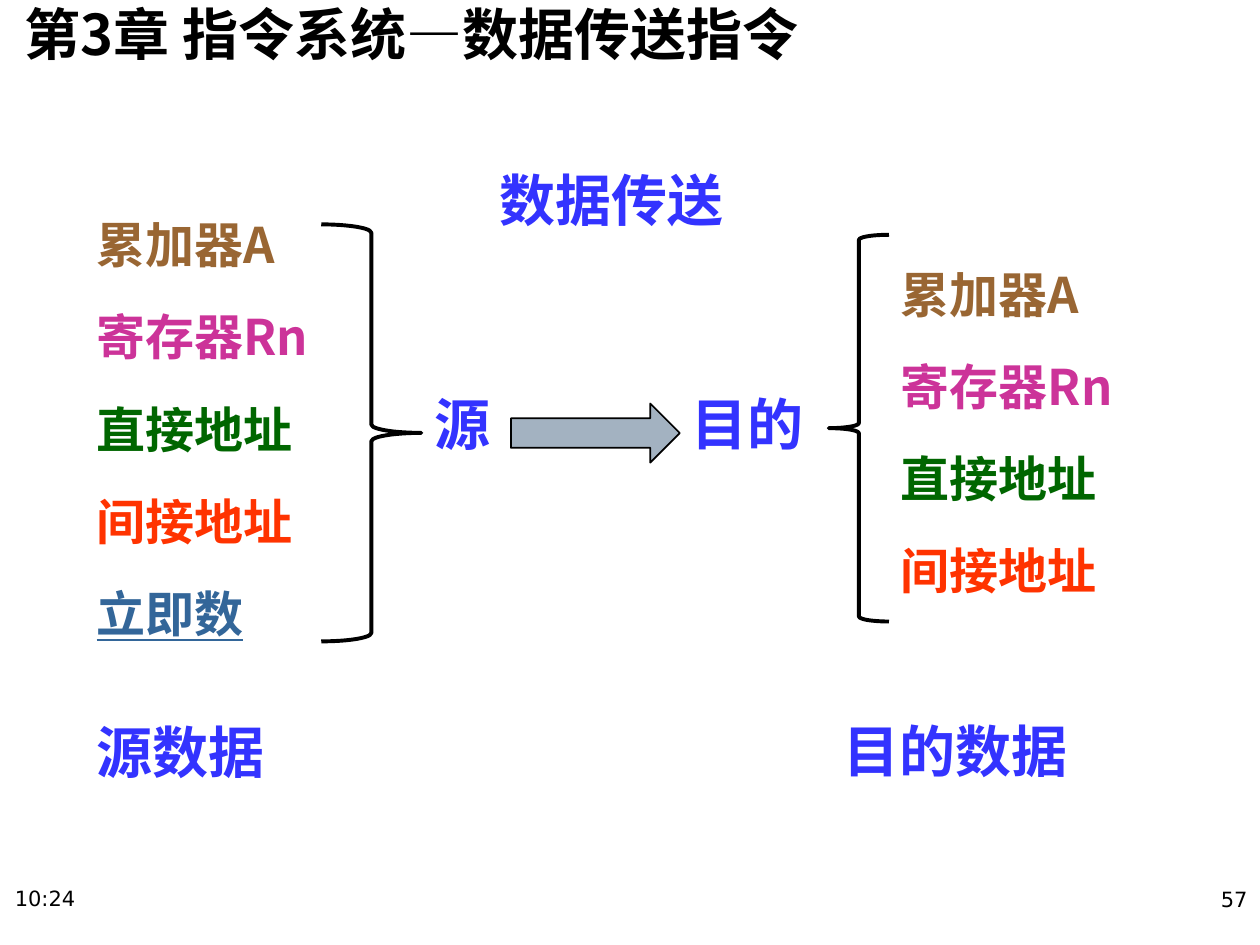
import pptx
import pptx.util
import pptx.dml.color
import pptx.enum.shapes
import pptx.enum.text
import pptx.oxml.ns
import lxml.etree

Pt = pptx.util.Pt
ALIGN = pptx.enum.text.PP_ALIGN
SHAPE = pptx.enum.shapes.MSO_SHAPE
CJK = "Noto Sans CJK SC"
COLORS = {
    "black": "000000", "white": "FFFFFF", "blue": "3333FF", "brown": "996633",
    "magenta": "CC3399", "green": "006600", "orange": "FF3300",
    "steel": "336699", "arrow": "A3B2C1",
}


def rgb(name):
    return pptx.dml.color.RGBColor.from_string(COLORS[name])


def write(box, place, lines, size, font=CJK, bold=True, align=ALIGN.LEFT, wrap=True):
    box.left, box.top, box.width, box.height = [Pt(length) for length in place]
    frame = box.text_frame
    frame.text = "\n".join(text for text, color in lines)
    frame.word_wrap = wrap
    frame.auto_size = pptx.enum.text.MSO_AUTO_SIZE.NONE
    frame.vertical_anchor = pptx.enum.text.MSO_ANCHOR.TOP
    for paragraph, (text, color) in zip(frame.paragraphs, lines):
        paragraph.alignment = align
        run = paragraph.runs[0]
        run.font.size = Pt(size)
        run.font.bold = bold
        run.font.name = font
        run.font.color.rgb = rgb(color)
        east_asian = lxml.etree.SubElement(run.font._element, pptx.oxml.ns.qn("a:ea"))
        east_asian.set("typeface", font)
    return frame


deck = pptx.Presentation()
deck.slide_width, deck.slide_height = Pt(720), Pt(540)
slide = deck.slides.add_slide(deck.slide_layouts[1])
shapes = slide.shapes

heading = write(shapes.title, (0, -0.5, 524, 56), [("第3章 指令系统—数据传送指令", "black")], 32)
heading.margin_left = Pt(14)
heading.margin_top = heading.margin_right = heading.margin_bottom = 0

destinations = [("累加器A", "brown"), ("寄存器Rn", "magenta"),
                ("直接地址", "green"), ("间接地址", "orange")]
sources = destinations + [("立即数", "steel")]
source_box = shapes.add_textbox(0, 0, 0, 0)
for box, place, operands in (
    (slide.placeholders[1], (507.6, 133.9, 158.4, 226.8), destinations),
    (source_box, (48.2, 105.8, 158.4, 283.7), sources),
):
    operand_list = write(box, place, operands, 28, align=ALIGN.JUSTIFY)
    for position, paragraph in enumerate(operand_list.paragraphs):
        paragraph.line_spacing = 1.4
        paragraph.space_before = Pt(5.6 if position else 0)
        properties = paragraph._p.get_or_add_pPr()
        properties.set("marL", str(Pt(36.7)))
        properties.set("indent", str(-Pt(36.7)))
        lxml.etree.SubElement(properties, pptx.oxml.ns.qn("a:buNone"))
source_box.text_frame.paragraphs[-1].runs[0].font.underline = True

for preset, place, fill, weight in (
    (SHAPE.LEFT_BRACE, (473.6, 134.2, 34.4, 221), "white", 2.25),
    (SHAPE.RIGHT_BRACE, (183.6, 128.2, 57.2, 238.3), "white", 2.25),
    (SHAPE.RIGHT_ARROW, (292, 230.6, 96.5, 33.8), "arrow", 1),
):
    symbol = shapes.add_shape(preset, *[Pt(length) for length in place])
    symbol.shadow.inherit = False
    symbol.fill.solid()
    symbol.fill.fore_color.rgb = rgb(fill)
    symbol.line.color.rgb = rgb("black")
    symbol.line.width = Pt(weight)

for label, left, top, width in (
    ("数据传送", 278.6, 91, 144),
    ("源", 241.2, 218.9, 46.8),
    ("目的", 388.1, 218.9, 79.2),
    ("源数据", 48.2, 406.4, 111.6),
    ("目的数据", 475.2, 406.1, 144),
):
    write(shapes.add_textbox(0, 0, 0, 0), (left, top, width, 46.1),
          [(label, "blue")], 32, wrap=False)

for label, left, top, align in (("10:24", 1.4, 502.6, ALIGN.LEFT),
                                ("57", 563.8, 503.3, ALIGN.RIGHT)):
    write(shapes.add_textbox(0, 0, 0, 0), (left, top, 156.2, 37.4),
          [(label, "black")], 12, "DejaVu Sans", False, align)

deck.save("out.pptx")
